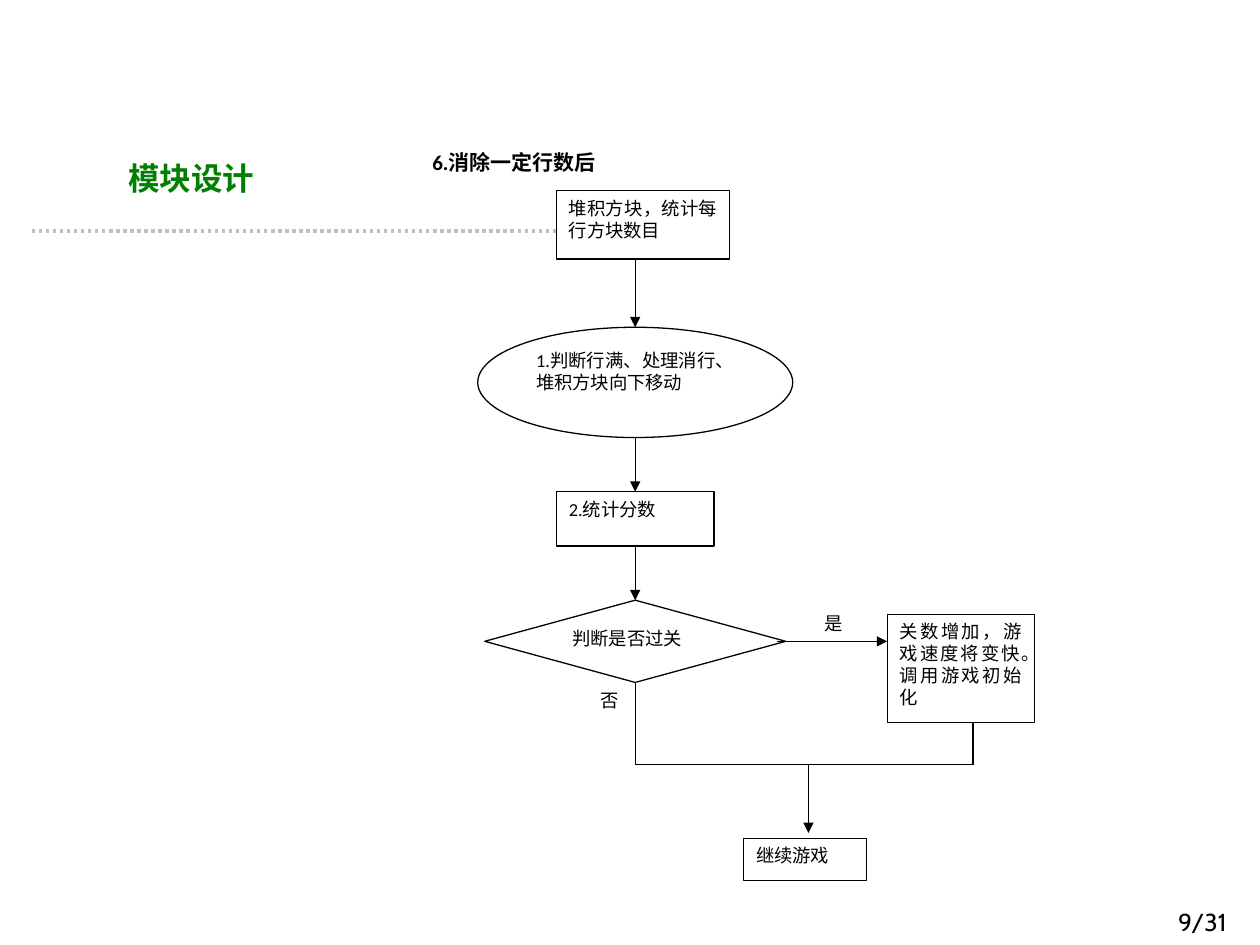
import pptx
import pptx.dml.color
import pptx.enum.dml
import pptx.enum.shapes
import pptx.enum.text
import pptx.oxml.ns
import pptx.util
import lxml.etree

Pt = pptx.util.Pt
RGBColor = pptx.dml.color.RGBColor
Shape = pptx.enum.shapes.MSO_SHAPE
Align = pptx.enum.text.PP_ALIGN
Anchor = pptx.enum.text.MSO_ANCHOR
qn = pptx.oxml.ns.qn

BLACK = RGBColor(0, 0, 0)
WHITE = RGBColor(255, 255, 255)
GREEN = RGBColor(0, 128, 0)
SILVER = RGBColor(192, 192, 192)

TOP, BOTTOM = 0, 2
AXIS = 363
MERGE = 437


def write(shape, text, size, align, anchor, font="Calibri", color=BLACK, bold=False):
    """Fill a shape with one formatted paragraph and return the paragraph."""
    frame = shape.text_frame
    frame.word_wrap = True
    frame.vertical_anchor = anchor
    paragraph = frame.paragraphs[0]
    paragraph.text = text
    paragraph.alignment = align
    paragraph.font.name = font
    paragraph.font.size = Pt(size)
    paragraph.font.bold = bold
    paragraph.font.color.rgb = color
    return paragraph


def add_title(slide, text):
    """Place and format the title placeholder."""
    title = slide.shapes.title
    title.left, title.top, title.width, title.height = Pt(66), Pt(72), Pt(360), Pt(54)
    paragraph = write(title, text, 18, Align.JUSTIFY, Anchor.MIDDLE, color=GREEN, bold=True)
    paragraph.line_spacing = 1.25


def add_text(slide, box, text, size, align, anchor, **style):
    """Add a text box."""
    shape = slide.shapes.add_textbox(*map(Pt, box))
    write(shape, text, size, align, anchor, **style)


def add_node(slide, kind, box, text, outline=BLACK):
    """Add a white flowchart shape with its text at the top."""
    shape = slide.shapes.add_shape(kind, *map(Pt, box))
    shape.shadow.inherit = False
    shape.fill.solid()
    shape.fill.fore_color.rgb = WHITE
    shape.line.color.rgb = outline
    shape.line.width = Pt(0.75)
    write(shape, text, 10.5, Align.JUSTIFY, Anchor.TOP)
    return shape


def add_line(slide, start, end, head=None, color=BLACK, width=0.75, dash=None):
    """Add a straight line with an optional end marker."""
    straight = pptx.enum.shapes.MSO_CONNECTOR.STRAIGHT
    connector = slide.shapes.add_connector(straight, *map(Pt, start + end))
    connector.line.color.rgb = color
    connector.line.width = Pt(width)
    if dash is not None:
        connector.line.dash_style = dash
    properties = connector._element.spPr
    if head:
        outline = properties.find(qn("a:ln"))
        lxml.etree.SubElement(outline, qn("a:tailEnd"), type=head)
    lxml.etree.SubElement(properties, qn("a:effectLst"))
    return connector


def add_flowchart(slide):
    """Add the steps, the branch labels and the lines between them."""
    add_node(slide, Shape.RECTANGLE, (464, 346, 27, 24), "是", WHITE)
    add_node(slide, Shape.RECTANGLE, (336, 390, 27, 24), "否", WHITE)
    add_node(slide, Shape.RECTANGLE, (318, 109, 99, 39), "堆积方块，统计每行方块数目")
    score = add_node(slide, Shape.RECTANGLE, (318, 281, 90, 31), "2.统计分数")
    decision = add_node(slide, Shape.DIAMOND, (277, 343, 172, 47), "判断是否过关")
    add_node(slide, Shape.RECTANGLE, (507, 351, 84, 62),
             "关数增加，游戏速度将变快。调用游戏初始化")
    add_node(slide, Shape.RECTANGLE, (425, 479, 70, 24), "继续游戏")
    clearing = add_node(slide, Shape.OVAL, (273, 187, 180, 63),
                        "1.判断行满、处理消行、堆积方块向下移动")

    to_clearing = add_line(slide, (AXIS, 148), (AXIS, 187), "triangle")
    to_clearing.end_connect(clearing, TOP)
    to_score = add_line(slide, (AXIS, 250), (AXIS, 281), "triangle")
    to_score.end_connect(score, TOP)
    to_decision = add_line(slide, (AXIS, 312), (AXIS, 343), "triangle")
    to_decision.begin_connect(score, BOTTOM)
    to_decision.end_connect(decision, TOP)
    add_line(slide, (444, 366.5), (507, 366.5), "triangle")
    add_line(slide, (556, 413), (556, MERGE))
    failed = add_line(slide, (AXIS, 390), (AXIS, MERGE))
    failed.begin_connect(decision, BOTTOM)
    add_line(slide, (AXIS, MERGE), (556, MERGE))
    add_line(slide, (462, MERGE), (462, 476), "triangle")


def main():
    """Build the slide and save it."""
    presentation = pptx.Presentation()
    presentation.slide_width, presentation.slide_height = Pt(720), Pt(540)
    slide = presentation.slides.add_slide(presentation.slide_layouts[5])
    add_line(slide, (18, 132), (384, 132), "oval", SILVER, 2,
             pptx.enum.dml.MSO_LINE.ROUND_DOT)
    add_title(slide, "模块设计")
    add_text(slide, (540, 515, 168, 31), "9/31", 14, Align.RIGHT, Anchor.TOP, font="Cabin")
    add_text(slide, (240, 80, 160, 25), "6.消除一定行数后", 12, Align.LEFT, Anchor.MIDDLE,
             bold=True)
    add_flowchart(slide)
    presentation.save("out.pptx")


if __name__ == "__main__":
    main()
